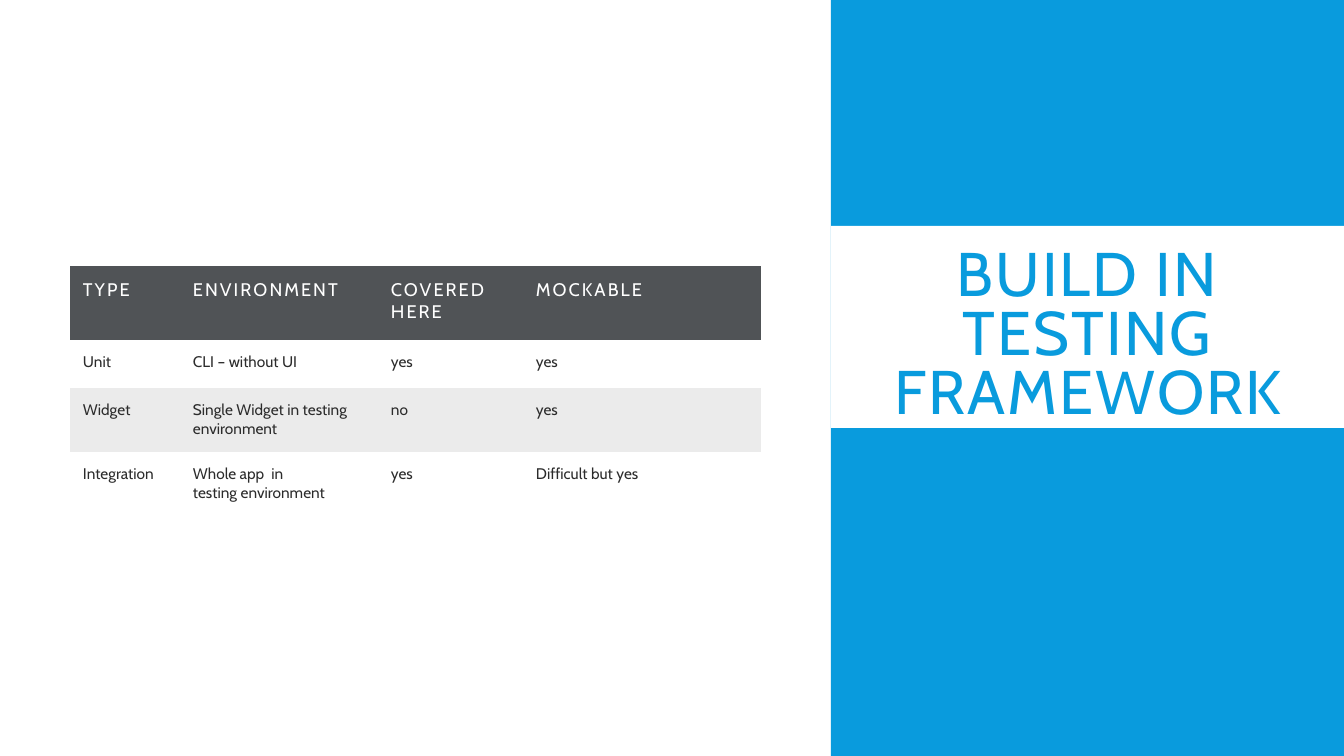
from pptx import Presentation
from pptx.dml.color import RGBColor
from pptx.enum.shapes import MSO_SHAPE
from pptx.enum.text import MSO_ANCHOR, MSO_AUTO_SIZE, PP_ALIGN
from pptx.oxml.ns import qn
from pptx.util import Emu, Inches, Pt

SCALE = Inches(1) / 100.8
RECT = MSO_SHAPE.RECTANGLE
MIDDLE = MSO_ANCHOR.MIDDLE
FIXED = MSO_AUTO_SIZE.NONE
CENTER = PP_ALIGN.CENTER

BLUE = RGBColor(0x09, 0x9B, 0xDD)
WHITE = RGBColor(0xFF, 0xFF, 0xFF)
SLATE = RGBColor(0x50, 0x53, 0x56)
BAND = RGBColor(0xEB, 0xEB, 0xEB)
INK = RGBColor(0x2C, 0x2C, 0x2C)

FACE = "Cabin"
PLAIN = "{2D5ABB26-0587-4C30-8999-92F81FD0307C}"
PAD = 13
COLS = [110, 198, 145, 158, 80]
ROWS = [74, 48, 64, 64]
FILLS = [SLATE, None, BAND, None]
CELLS = [
    ["TYPE", "ENVIRONMENT", "COVERED HERE", "MOCKABLE", ""],
    ["Unit\u00a0", "CLI – without UI", "yes", "yes", ""],
    ["Widget", "Single Widget in testing environment", "no", "yes", ""],
    ["Integration", "Whole app\u00a0\u00a0in testing\u00a0environment", "yes",
     "Difficult but yes", ""],
]


def px(num):
    """Turn pixels into EMU."""
    return Emu(round(num * SCALE))


def assign(item, **values):
    """Set each named value on an item."""
    for name, value in values.items():
        setattr(item, name, value)


def write(frame, text, size, color, gap=0):
    """Put styled text with letter spacing into a frame."""
    run = frame.paragraphs[0].add_run()
    run.text = text
    assign(run.font, name=FACE, size=Pt(size), bold=False)
    run.font.color.rgb = color
    run.font._element.set("spc", str(round(gap * 100)))


def add_rect(slide, box, color):
    """Add a flat rectangle."""
    rect = slide.shapes.add_shape(RECT, *map(px, box))
    rect.shadow.inherit = False
    rect.fill.solid()
    rect.fill.fore_color.rgb = color
    rect.line.fill.background()


def set_title(slide, box, text):
    """Place and style the title in front of the panel."""
    title = slide.shapes.title
    left, top, width, height = map(px, box)
    assign(title, left=left, top=top, width=width, height=height)
    frame = title.text_frame
    assign(frame, word_wrap=True, auto_size=FIXED, vertical_anchor=MIDDLE)
    assign(frame.paragraphs[0], alignment=CENTER, line_spacing=0.8)
    write(frame, text, 44, BLUE, 1.5)
    slide.shapes._spTree.append(title._element)


def fill_cell(cell, text, head, color):
    """Fill one cell and write its text."""
    if color is None:
        cell.fill.background()
    else:
        cell.fill.solid()
        cell.fill.fore_color.rgb = color
    if text:
        for side in ("left", "right", "top", "bottom"):
            setattr(cell, f"margin_{side}", px(PAD))
        style = (13, WHITE, 1.5) if head else (11, INK)
        write(cell.text_frame, text, *style)


def add_grid(slide, left, top):
    """Add the table of test types."""
    box = map(px, (left, top, sum(COLS), sum(ROWS)))
    table = slide.shapes.add_table(len(ROWS), len(COLS), *box).table
    table.horz_banding = False
    table._tbl.tblPr.find(qn("a:tableStyleId")).text = PLAIN
    for col, width in zip(table.columns, COLS):
        col.width = px(width)
    for i, (row, height) in enumerate(zip(table.rows, ROWS)):
        row.height = px(height)
        for cell, text in zip(row.cells, CELLS[i]):
            fill_cell(cell, text, i == 0, FILLS[i])


def main():
    """Build and save the slide."""
    deck = Presentation()
    assign(deck, slide_width=px(1344), slide_height=px(756))
    slide = deck.slides.add_slide(deck.slide_layouts[5])
    add_rect(slide, (831, 0, 513, 756), BLUE)
    add_rect(slide, (831, 226, 513, 202), WHITE)
    set_title(slide, (867, 242, 442, 192), "BUILD IN TESTING FRAMEWORK")
    add_grid(slide, 70, 266)
    deck.save("out.pptx")


main()
